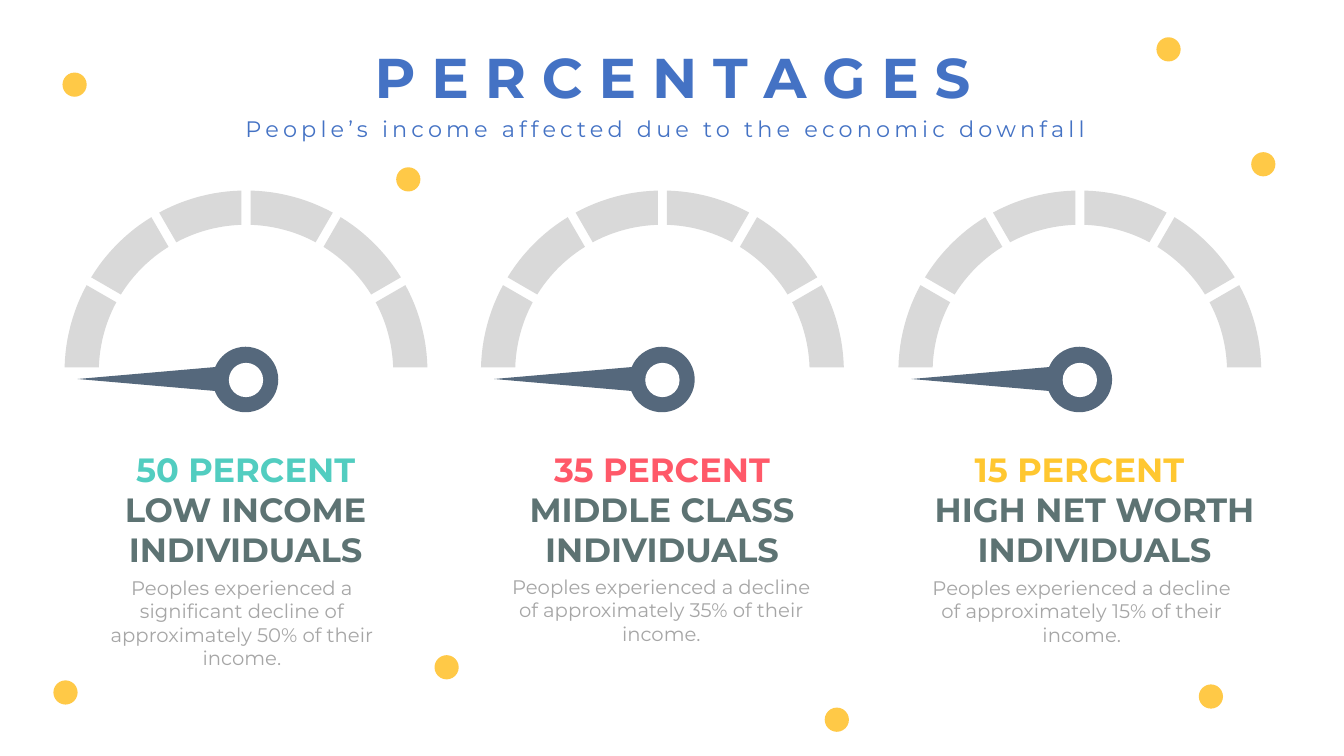
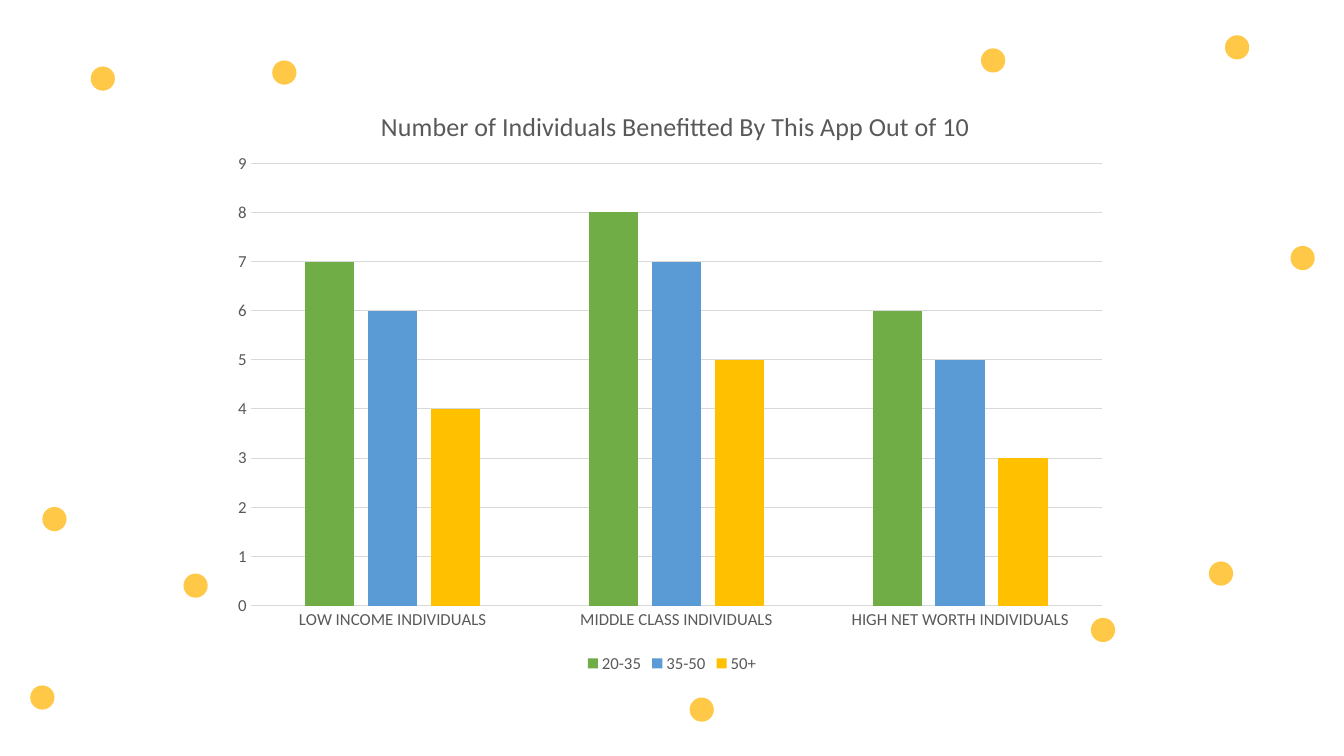
import math

from lxml import etree
from pptx import Presentation
from pptx.chart import data
from pptx.dml import color
from pptx.enum import chart as ec, shapes, text
from pptx.oxml import ns
from pptx.util import Emu, Pt

PX = 9144
COLORS = {
    "blue": "4472C4", "dot": "FFC947", "arc": "D9D9D9", "needle": "55687C",
    "white": "FFFFFF", "teal": "52CDC0", "red": "FF5969", "yellow": "FFC730",
    "label": "5D7373", "body": "A6A6A6", "axis": "595959", "grid": "D9D9D9",
    "young": "70AD47", "middle": "5B9BD5", "senior": "FFC000",
}
STYLES = {
    "title": dict(size=Pt(40), bold=True, color="blue"),
    "subtitle": dict(size=Pt(16), bold=False, color="blue"),
    "heading": dict(size=Pt(24), bold=True),
    "body": dict(size=Pt(14), bold=False, color="body"),
    "axis": dict(name="Calibri", size=Pt(12), bold=False, color="axis"),
    "chart title": dict(name="Calibri", size=Pt(18.6), bold=False, color="axis"),
}
GAUGES = [
    dict(cx=244, percent="50 PERCENT", color="teal", label="LOW INCOME INDIVIDUALS",
         label_box=(74, 480, 339, 91), body_box=(82, 566, 316, 104),
         body="Peoples experienced a significant decline of approximately 50% of their income."),
    dict(cx=657, percent="35 PERCENT", color="red", label="MIDDLE CLASS INDIVIDUALS",
         label_box=(487, 480, 339, 91), body_box=(498, 565, 316, 81),
         body="Peoples experienced a decline of approximately 35% of their income."),
    dict(cx=1071, percent="15 PERCENT", color="yellow", label="HIGH NET WORTH INDIVIDUALS",
         label_box=(901, 480, 369, 91), body_box=(915, 566, 316, 81),
         body="Peoples experienced a decline of approximately 15% of their income."),
]
PERCENTAGE_DOTS = [(62, 72), (818, 702), (1241, 151), (1147, 37),
                   (1189, 679), (431, 650), (53, 675), (393, 166)]
CHART_DOTS = [(684, 692), (1082, 613), (182, 569), (42, 503), (1199, 557), (30, 680),
              (270, 60), (973, 48), (90, 66), (1215, 35), (1280, 244)]
SERIES = [("20-35", (7, 8, 6), "young"), ("35-50", (6, 7, 5), "middle"),
          ("50+", (4, 5, 3), "senior")]


def px(*values):
    return [Emu(round(v * PX)) for v in values]


def rgb(name):
    return color.RGBColor.from_string(COLORS[name])


def assign(obj, **values):
    for key, value in values.items():
        setattr(obj, key, value)


def polar(cx, cy, radius, angle):
    return cx + radius * math.cos(angle), cy - radius * math.sin(angle)


class Deck:
    """Holds the shared style and the slide being built."""

    def __init__(self):
        self.prs = Presentation()
        self.prs.slide_width, self.prs.slide_height = px(1333, 750)
        self.s = None

    def slide(self, layout, dots):
        self.s = self.prs.slides.add_slide(self.prs.slide_layouts[layout])
        for x, y in dots:
            self.shape(shapes.MSO_SHAPE.OVAL, (x, y, 24, 24), "dot")

    def paint(self, sp, fill):
        sp.shadow.inherit = False
        sp.fill.solid()
        sp.fill.fore_color.rgb = rgb(fill)
        sp.line.fill.background()
        return sp

    def shape(self, kind, box, fill):
        return self.paint(self.s.shapes.add_shape(kind, *px(*box)), fill)

    def outline(self, points, fill):
        start, *rest = [px(*point) for point in points]
        builder = self.s.shapes.build_freeform(*start)
        builder.add_line_segments(rest, close=True)
        return self.paint(builder.convert_to_shape(), fill)

    def font(self, font, style, **changes):
        values = {"name": "Montserrat", **STYLES[style], **changes}
        font.color.rgb = rgb(values.pop("color"))
        assign(font, **values)

    def set_text(self, sp, box, content, style, spacing=0, **changes):
        assign(sp, **dict(zip(("left", "top", "width", "height"), px(*box))))
        tf = sp.text_frame
        assign(tf, word_wrap=True, auto_size=text.MSO_AUTO_SIZE.NONE,
               vertical_anchor=text.MSO_ANCHOR.TOP)
        p = tf.paragraphs[0]
        assign(p, alignment=text.PP_ALIGN.CENTER, space_before=Pt(0))
        r = p.add_run()
        r.text = content
        self.font(r.font, style, **changes)
        if spacing:
            r._r.get_or_add_rPr().set("spc", str(spacing * 100))

    def text(self, box, content, style, **changes):
        sp = self.s.shapes.add_textbox(*px(*box))
        self.set_text(sp, box, content, style, **changes)

    def gauge(self, cx, arc_y=369, hub_y=376, outer=180, inner=146, half_gap=4.5, steps=12):
        for i in range(6):
            points = []
            for radius, order in ((outer, 1), (inner, -1)):
                trim = math.asin(half_gap / radius)
                first = math.radians(30 * i) + trim
                span = math.radians(30) - 2 * trim
                points += [polar(cx, arc_y, radius, first + span * k / steps)
                           for k in range(steps + 1)][::order]
            self.outline(points, "arc")
        hub = self.shape(shapes.MSO_SHAPE.DONUT, (cx - 33, hub_y - 32, 65, 65), "needle")
        hub.adjustments[0] = 0.42
        cap = [polar(cx - 6, hub_y, 14, math.radians(a)) for a in range(90, -91, -15)]
        self.outline([(cx - 167, hub_y)] + cap, "needle")
        self.shape(shapes.MSO_SHAPE.OVAL, (cx - 17, hub_y - 16, 34, 34), "white")

    def place(self, parent, index, **fractions):
        layout = parent.find(ns.qn("c:layout"))
        if layout is None:
            layout = etree.Element(ns.qn("c:layout"))
            parent.insert(index, layout)
        manual = etree.SubElement(layout, ns.qn("c:manualLayout"))
        for tag, value in fractions.items():
            etree.SubElement(manual, ns.qn(f"c:{tag}")).set("val", str(value))

    def column_chart(self, box, title, categories, series):
        cd = data.CategoryChartData()
        cd.categories = categories
        for name, values, _ in series:
            cd.add_series(name, values)
        chart = self.s.shapes.add_chart(
            ec.XL_CHART_TYPE.COLUMN_CLUSTERED, *px(*box), cd).chart
        self.font(chart.font, "axis")

        tf = chart.chart_title.text_frame
        tf.text = title
        self.font(tf.paragraphs[0].runs[0].font, "chart title")
        self.place(chart.chart_title._element, 1, xMode="edge", yMode="edge", x=0.17, y=0.04)
        self.place(chart._chartSpace.find(".//" + ns.qn("c:plotArea")), 0,
                   layoutTarget="inner", xMode="edge", yMode="edge",
                   x=0.03, y=0.14, w=0.95, h=0.74)

        plot = chart.plots[0]
        assign(plot, gap_width=219, overlap=-27, vary_by_categories=False)
        for ser, (_, _, fill) in zip(plot.series, series):
            ser.format.fill.solid()
            ser.format.fill.fore_color.rgb = rgb(fill)

        cat, val = chart.category_axis, chart.value_axis
        for axis in (cat, val):
            assign(axis, major_tick_mark=ec.XL_TICK_MARK.NONE,
                   minor_tick_mark=ec.XL_TICK_MARK.NONE)
            self.font(axis.tick_labels.font, "axis")
        assign(val, minimum_scale=0, maximum_scale=9, major_unit=1, has_major_gridlines=True)
        val.format.line.fill.background()
        for line in (cat.format.line, val.major_gridlines.format.line):
            line.color.rgb = rgb("grid")
            line.width = Pt(0.75)

        chart.has_legend = True
        assign(chart.legend, position=ec.XL_LEGEND_POSITION.BOTTOM, include_in_layout=False)
        self.font(chart.legend.font, "axis")


def main():
    deck = Deck()
    deck.slide(0, PERCENTAGE_DOTS)
    title, subtitle = deck.s.placeholders
    deck.set_text(title, (269, 37, 796, 77), "P E R C E N T A G E S", "title")
    deck.set_text(subtitle, (192, 109, 937, 37),
                  "People’s income affected due to the economic downfall", "subtitle", spacing=3)
    for g in GAUGES:
        deck.gauge(g["cx"])
        deck.text((g["cx"] - 123, 440, 245, 50), g["percent"], "heading", color=g["color"])
        deck.text(g["label_box"], g["label"], "heading", color="label")
        deck.text(g["body_box"], g["body"], "body")

    deck.slide(6, CHART_DOTS)
    deck.column_chart((222, 79, 889, 593),
                      "Number of Individuals Benefitted By This App Out of 10",
                      [g["label"] for g in GAUGES], SERIES)
    deck.prs.save("out.pptx")


if __name__ == "__main__":
    main()
